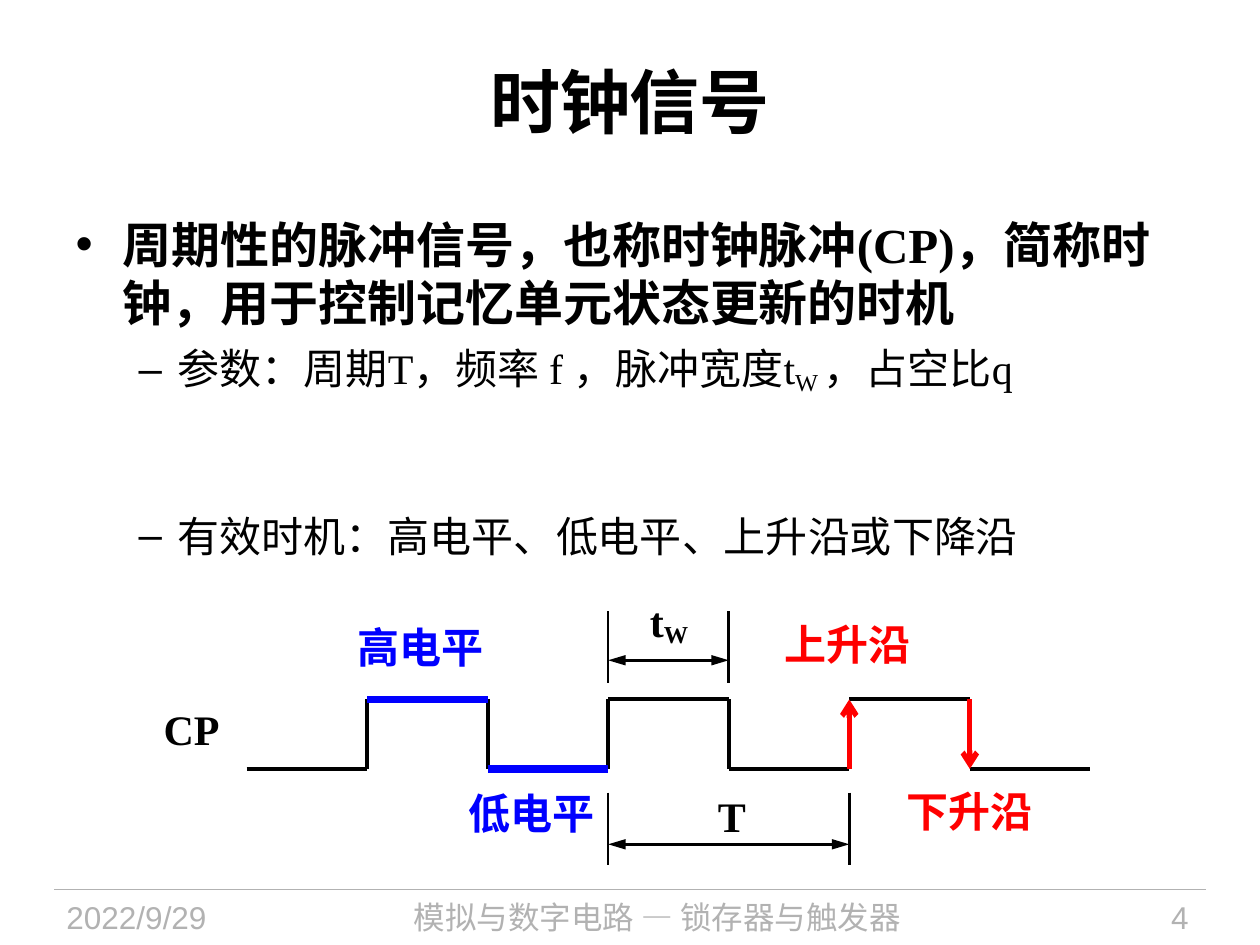
from dataclasses import dataclass
from typing import Optional

from lxml.etree import SubElement
from pptx import Presentation
from pptx.dml.color import RGBColor
from pptx.enum.shapes import MSO_CONNECTOR
from pptx.enum.text import MSO_ANCHOR, MSO_AUTO_SIZE, PP_ALIGN
from pptx.oxml.ns import qn
from pptx.util import Cm, Pt


@dataclass(frozen=True)
class Theme:
    ink: str = "000000"
    grey: str = "B2B2B2"
    red: str = "FF0000"
    blue: str = "0000FF"
    serif: str = "Times New Roman"
    sans: str = "Arial"
    cjk: str = "Noto Sans CJK SC"
    title: int = 40
    lead: int = 28
    text: int = 24
    foot: int = 18
    hair: float = 0.75
    thin: float = 1.5
    wave: float = 2.25
    edge: float = 3
    level: float = 4.5


@dataclass(frozen=True)
class Label:
    text: str
    left: float
    top: float
    width: float
    color: str
    face: str
    size: int
    height: float = 1.27
    bold: bool = True
    align: PP_ALIGN = PP_ALIGN.LEFT
    sub: str = ""


@dataclass(frozen=True)
class Line:
    x1: float
    y1: float
    x2: float
    y2: float
    color: str
    width: float
    head: Optional[str] = None
    tail: Optional[str] = None


LOOK = Theme()


def style(run, size: int, color: str, face: str, bold: bool, sub: bool = False) -> None:
    font = run.font
    font.size, font.bold, font.name = Pt(size), bold, face
    font.color.rgb = RGBColor.from_string(color)
    props = run._r.get_or_add_rPr()
    SubElement(props, qn("a:ea")).set("typeface", LOOK.cjk)
    if sub:
        props.set("baseline", "-15000")


def write(slide, label: Label) -> None:
    box = slide.shapes.add_textbox(
        Cm(label.left), Cm(label.top), Cm(label.width), Cm(label.height))
    frame = box.text_frame
    frame.word_wrap = False
    frame.vertical_anchor = MSO_ANCHOR.MIDDLE
    frame.text = label.text
    para = frame.paragraphs[0]
    para.alignment = label.align
    if label.sub:
        para.add_run().text = label.sub
    for i, run in enumerate(para.runs):
        style(run, label.size, label.color, label.face, label.bold, i > 0)


def draw(slide, line: Line) -> None:
    link = slide.shapes.add_connector(
        MSO_CONNECTOR.STRAIGHT, Cm(line.x1), Cm(line.y1), Cm(line.x2), Cm(line.y2))
    link.line.width = Pt(line.width)
    link.line.color.rgb = RGBColor.from_string(line.color)
    stroke = link.line._get_or_add_ln()
    for end, kind in (("headEnd", line.head), ("tailEnd", line.tail)):
        if kind:
            mark = SubElement(stroke, qn(f"a:{end}"))
            mark.set("type", kind)
            mark.set("w", "med")
            mark.set("len", "lg" if kind == "triangle" else "med")
    SubElement(link._element.spPr, qn("a:effectLst"))


def span(slide, x1: float, x2: float, top: float, mid: float) -> None:
    """Dimension: two upright ticks joined by a double arrow."""
    for x in (x1, x2):
        draw(slide, Line(x, top, x, top + 1.45, LOOK.ink, LOOK.thin))
    draw(slide, Line(x1, mid, x2, mid, LOOK.ink, LOOK.thin, "triangle", "triangle"))


def place(shape, left: float, top: float, width: float, height: float) -> None:
    shape.left, shape.top = Cm(left), Cm(top)
    shape.width, shape.height = Cm(width), Cm(height)


def fill(slide) -> None:
    # Title
    title = slide.shapes.title
    place(title, 1.27, 0.43, 22.86, 3.18)
    title.text_frame.text = "时钟信号"
    title.text_frame.vertical_anchor = MSO_ANCHOR.MIDDLE
    style(title.text_frame.paragraphs[0].runs[0],
          LOOK.title, LOOK.ink, LOOK.serif, True)

    # List: level, space before, line pitch, size, runs (every second one lowered)
    body = slide.placeholders[1]
    place(body, 1.27, 4.22, 22.73, 13.51)
    frame = body.text_frame
    frame.auto_size = MSO_AUTO_SIZE.NONE
    items = (
        (0, 0, 33, LOOK.lead,
         ["周期性的脉冲信号，也称时钟脉冲(CP)，简称时钟，用于控制记忆单元状态更新的时机"]),
        (1, 9, 28, LOOK.text, ["参数：周期T，频率 f ，脉冲宽度t", "W ", "，占空比q"]),
        (1, 66, 28, LOOK.text, ["有效时机：高电平、低电平、上升沿或下降沿"]),
    )
    for n, (level, gap, pitch, size, parts) in enumerate(items):
        para = frame.add_paragraph() if n else frame.paragraphs[0]
        para.level = level
        para.space_before, para.line_spacing = Pt(gap), Pt(pitch)
        for i, part in enumerate(parts):
            run = para.add_run()
            run.text = part
            style(run, size, LOOK.ink, LOOK.serif, level == 0, i % 2 == 1)


def chart(slide) -> None:
    # Clock wave: flat steps alternate low and high
    high, low, step = 14.1, 15.5, 2.43
    xs = [4.97 + step * i for i in range(8)]
    for i in range(7):
        y = high if i % 2 else low
        draw(slide, Line(xs[i], y, xs[i + 1], y, LOOK.ink, LOOK.wave))
    for x in xs[1:5]:
        draw(slide, Line(x, high, x, low, LOOK.ink, LOOK.wave))

    # Marked levels and edges
    for i, y in ((1, high), (2, low)):
        draw(slide, Line(xs[i], y, xs[i + 1], y, LOOK.blue, LOOK.level))
    for x, y1, y2 in ((xs[5], low, high), (xs[6], high, low)):
        draw(slide, Line(x, y1, x, y2, LOOK.red, LOOK.edge, tail="arrow"))

    # Pulse width and period
    span(slide, xs[3], xs[4], 12.32, 13.31)
    span(slide, xs[3], xs[5], 15.98, 17.02)

    # Labels
    for text, left, top, width, color, face, sub in (
        ("CP", 3.05, 14.05, 1.65, LOOK.ink, LOOK.serif, ""),
        ("T", 14.22, 15.8, 1.07, LOOK.ink, LOOK.serif, ""),
        ("t", 12.85, 11.9, 1.35, LOOK.ink, LOOK.serif, "W"),
        ("高电平", 6.96, 12.4, 3.06, LOOK.blue, LOOK.sans, ""),
        ("低电平", 9.19, 15.75, 3.06, LOOK.blue, LOOK.sans, ""),
        ("上升沿", 15.57, 12.35, 3.06, LOOK.red, LOOK.sans, ""),
        ("下升沿", 18.03, 15.7, 3.06, LOOK.red, LOOK.sans, ""),
    ):
        write(slide, Label(text, left, top, width, color, face, LOOK.text, sub=sub))


def foot(slide) -> None:
    # Footer rule and its three fields
    top = 17.93
    draw(slide, Line(1.09, top, 24.31, top, LOOK.grey, LOOK.hair))
    for text, left, width, face, align in (
        ("2022/9/29", 1.09, 4.78, LOOK.sans, PP_ALIGN.LEFT),
        ("模拟与数字电路 — 锁存器与触发器", 6.1, 14.3, LOOK.cjk, PP_ALIGN.CENTER),
        ("4", 20.83, 3.38, LOOK.sans, PP_ALIGN.RIGHT),
    ):
        write(slide, Label(text, left, top, width, LOOK.grey, face, LOOK.foot,
                           height=1.12, bold=False, align=align))


def main() -> None:
    deck = Presentation()
    deck.slide_width, deck.slide_height = Cm(25.4), Cm(19.05)
    slide = deck.slides.add_slide(deck.slide_layouts[1])
    fill(slide)
    chart(slide)
    foot(slide)
    deck.save("out.pptx")


if __name__ == "__main__":
    main()
